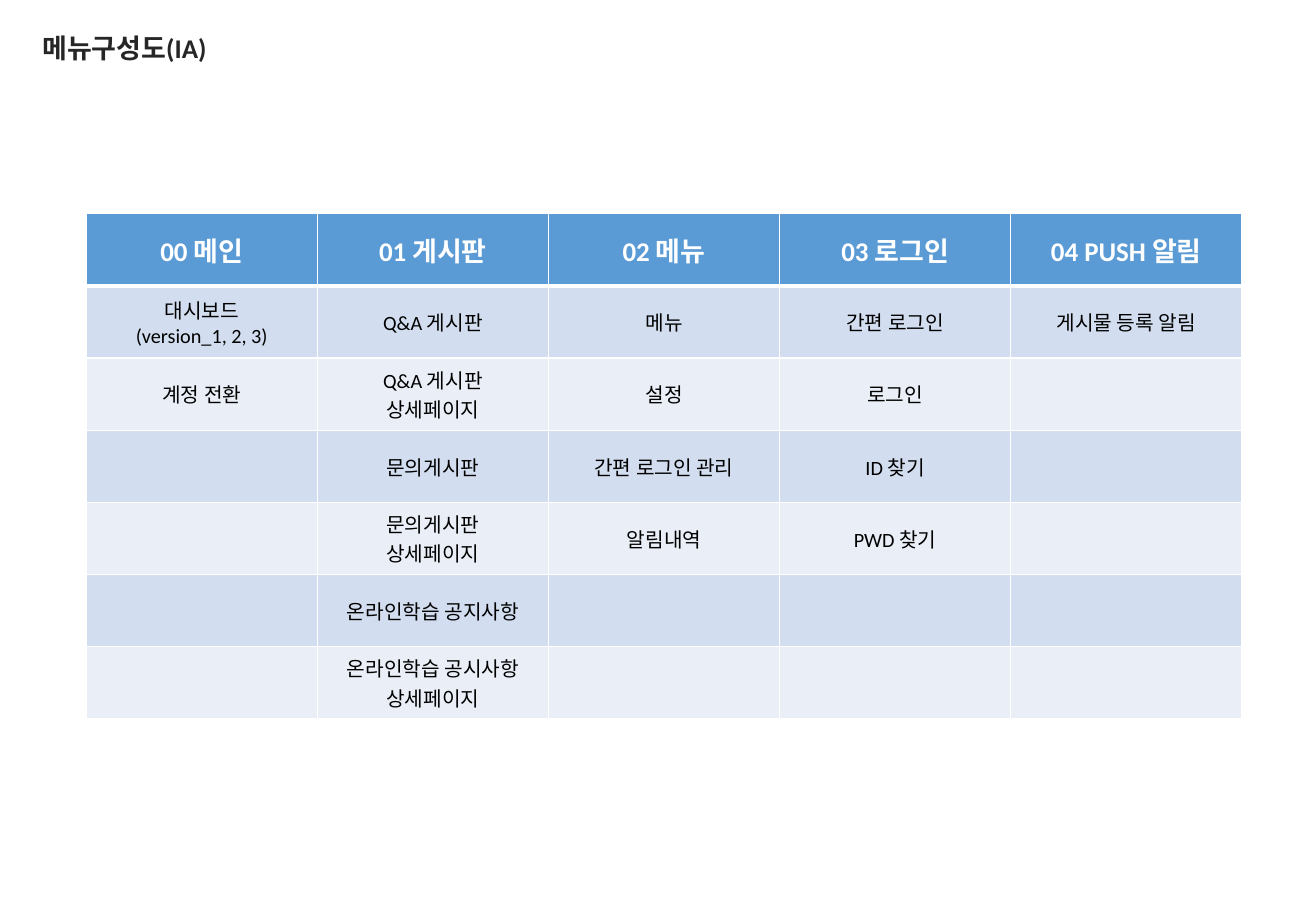
from dataclasses import dataclass

import pptx
import pptx.dml.color
import pptx.enum.text
import pptx.oxml
import pptx.oxml.ns
import pptx.slide
import pptx.table
import pptx.text.text
import pptx.util

Inches = pptx.util.Inches
RGBColor = pptx.dml.color.RGBColor

WHITE = RGBColor(0xFF, 0xFF, 0xFF)
BLACK = RGBColor(0, 0, 0)
TITLE_GRAY = RGBColor(0x26, 0x26, 0x26)
HEADER_BLUE = RGBColor(0x5B, 0x9B, 0xD5)
BAND_DARK = RGBColor(0xD2, 0xDE, 0xEF)
BAND_LIGHT = RGBColor(0xEA, 0xEF, 0xF7)

FONT = "Calibri"
TABLE_WIDTH, TABLE_HEIGHT = 9.51, 4.16


@dataclass(frozen=True)
class TextStyle:
    size: int
    color: RGBColor
    bold: bool


@dataclass(frozen=True)
class Menu:
    heading: str
    screens: tuple[str, ...]


TITLE_STYLE = TextStyle(16, TITLE_GRAY, True)
HEADER_STYLE = TextStyle(16, WHITE, True)
SCREEN_STYLE = TextStyle(12, BLACK, False)

MENUS = (
    Menu("00 메인", ("대시보드\n(version_1, 2, 3)", "계정 전환")),
    Menu("01 게시판", (
        "Q&A 게시판", "Q&A 게시판\n상세페이지",
        "문의게시판", "문의게시판\n상세페이지",
        "온라인학습 공지사항", "온라인학습 공시사항\n상세페이지",
    )),
    Menu("02 메뉴", ("메뉴", "설정", "간편 로그인 관리", "알림내역")),
    Menu("03 로그인", ("간편 로그인", "로그인", "ID 찾기", "PWD 찾기")),
    Menu("04 PUSH 알림", ("게시물 등록 알림",)),
)


def add_span(para: pptx.text.text._Paragraph, text: str, style: TextStyle) -> None:
    span = para.add_run()
    span.text = text
    span.font.name = FONT
    span.font.size = pptx.util.Pt(style.size)
    span.font.bold = style.bold
    span.font.color.rgb = style.color


def set_borders(cell: pptx.table._Cell, widths: dict[str, int]) -> None:
    """Draw white borders; widths are in points, keyed by side letter."""
    properties = cell._tc.get_or_add_tcPr()
    for position, (side, width) in enumerate(widths.items()):
        properties.insert(position, pptx.oxml.parse_xml(
            f'<a:ln{side} {pptx.oxml.ns.nsdecls("a")} w="{pptx.util.Pt(width)}">'
            f'<a:solidFill><a:srgbClr val="{WHITE}"/></a:solidFill></a:ln{side}>'
        ))


def fill_cell(cell: pptx.table._Cell, text: str, row: int) -> None:
    is_header = row == 0
    cell.fill.solid()
    band = BAND_DARK if row % 2 else BAND_LIGHT
    cell.fill.fore_color.rgb = HEADER_BLUE if is_header else band
    set_borders(cell, {"L": 1, "R": 1, "T": 3 if row == 1 else 1, "B": 3 if is_header else 1})
    cell.vertical_anchor = pptx.enum.text.MSO_ANCHOR.MIDDLE
    if not text:
        return
    for index, line in enumerate(text.split("\n")):
        para = cell.text_frame.add_paragraph() if index else cell.text_frame.paragraphs[0]
        para.alignment = pptx.enum.text.PP_ALIGN.CENTER
        add_span(para, line, HEADER_STYLE if is_header else SCREEN_STYLE)


def add_title(page: pptx.slide.Slide, text: str) -> None:
    box = page.shapes.add_textbox(Inches(0.25), Inches(0.21), Inches(2.49), Inches(0.4))
    box.text_frame.word_wrap = True
    box.text_frame.vertical_anchor = pptx.enum.text.MSO_ANCHOR.MIDDLE
    para = box.text_frame.paragraphs[0]
    para.line_spacing = 0.9
    para.space_before = pptx.util.Pt(10)
    add_span(para, text, TITLE_STYLE)


def add_menu_table(page: pptx.slide.Slide, menus: tuple[Menu, ...]) -> None:
    row_count = 1 + max(len(menu.screens) for menu in menus)
    table = page.shapes.add_table(
        row_count, len(menus),
        Inches(0.71), Inches(1.76), Inches(TABLE_WIDTH), Inches(TABLE_HEIGHT),
    ).table
    for column, menu in enumerate(menus):
        texts = (menu.heading, *menu.screens)
        for row in range(row_count):
            fill_cell(table.cell(row, column), texts[row] if row < len(texts) else "", row)


def main() -> None:
    deck = pptx.Presentation()
    deck.slide_width, deck.slide_height = Inches(10.83), Inches(7.5)
    page = deck.slides.add_slide(deck.slide_layouts[6])
    add_title(page, "메뉴구성도(IA)")
    add_menu_table(page, MENUS)
    deck.save("out.pptx")


if __name__ == "__main__":
    main()
